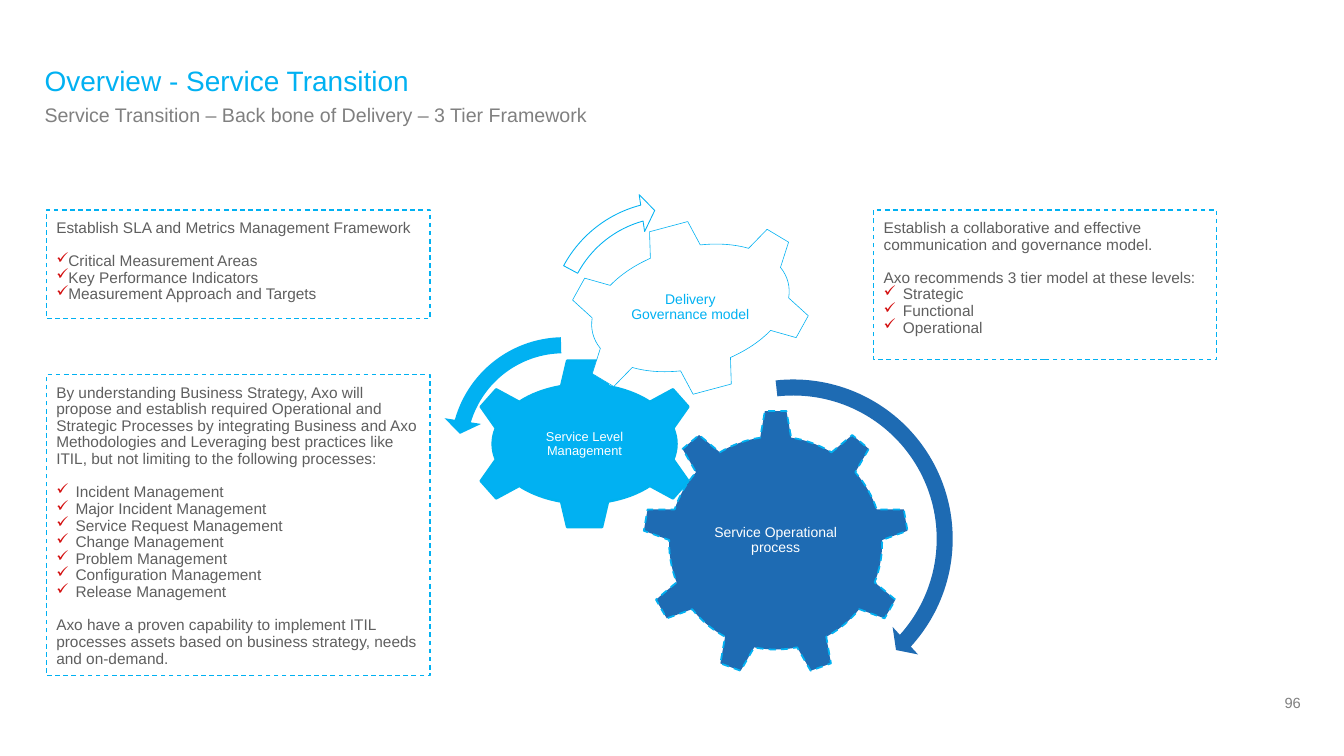
from lxml.etree import SubElement
from pptx import Presentation
from pptx.dml.color import RGBColor
from pptx.enum.dml import MSO_LINE as Dash
from pptx.enum.shapes import MSO_SHAPE as Kind
from pptx.enum.text import MSO_ANCHOR as Anchor, MSO_AUTO_SIZE as Auto, PP_ALIGN as Align
from pptx.oxml.ns import qn
from pptx.util import Pt

SKY, BLUE, WHITE = "01B1F2", "1E6BB3", "FFFFFF"
GREY, DARK, RED = "808080", "5F5F5F", "D30D0D"
GAP = 14.2  # one line of box text


def rgb(code):
    return RGBColor.from_string(code)


def assign(item, values):
    for name, value in values.items():
        setattr(item, name, value)


def place(box):
    return [Pt(v) for v in box]


def setup(frame, inset=0, anchor=Anchor.TOP):
    sides = ("left", "top", "right", "bottom")
    assign(frame, {f"margin_{side}": Pt(inset) for side in sides})
    assign(frame, {"word_wrap": True, "auto_size": Auto.NONE, "vertical_anchor": anchor})


def write(para, text, size, color, align=Align.LEFT, lead=0.9, before=0):
    assign(para, {"alignment": align, "line_spacing": lead, "space_before": Pt(before)})
    run = para.add_run()
    run.text = text
    assign(run.font, {"size": Pt(size), "name": "Arial", "bold": False})
    run.font.color.rgb = rgb(color)


def tick(para, indent):
    props = para._p.get_or_add_pPr()
    props.set("marL", str(Pt(indent)))
    props.set("indent", str(-Pt(indent)))
    SubElement(SubElement(props, qn("a:buClr")), qn("a:srgbClr")).set("val", RED)
    SubElement(props, qn("a:buChar")).set("char", "✓")


def label(slide, box, text, size, color, inset=0, align=Align.CENTER,
          anchor=Anchor.MIDDLE, lead=0.9):
    frame = slide.shapes.add_textbox(*place(box)).text_frame
    setup(frame, inset, anchor)
    write(frame.paragraphs[0], text, size, color, align, lead)


def draw(slide, kind, box, fill, line=None, width=1, dash=None, turn=0):
    shape = slide.shapes.add_shape(kind, *place(box))
    shape.shadow.inherit = False
    shape.rotation = turn
    shape.fill.solid()
    shape.fill.fore_color.rgb = rgb(fill)
    if line:
        shape.line.color.rgb = rgb(line)
        assign(shape.line, {"width": Pt(width), "dash_style": dash})
    else:
        shape.line.fill.background()
    return shape


def header(slide, box):
    x, y, w, h = box
    title = slide.shapes.title
    assign(title, dict(zip(("left", "top", "width", "height"), place((x, y, w, 28)))))
    setup(title.text_frame)
    write(title.text_frame.paragraphs[0], "Overview - Service Transition", 24, SKY, lead=1)
    label(slide, (x, y + 30, w, h - 30),
          "Service Transition – Back bone of Delivery – 3 Tier Framework",
          16.8, GREY, align=Align.LEFT, anchor=Anchor.TOP, lead=1.2)


def gear(slide, box, kind, text, size, color, inset, lift=0, **style):
    x, y, w, h = box
    dx, dy = inset
    draw(slide, kind, box, **style)
    label(slide, (x + dx, y + dy - lift, w - 2 * dx, h - 2 * dy), text, size, color, 1.5)


def arc(slide, box, kind, adjust, **style):
    shape = draw(slide, kind, box, **style)
    for i, value in enumerate(adjust):
        shape.adjustments[i] = value


def wheels(slide, box):
    """Three meshing gears, then the arrows that show how each one turns."""
    x, y = box[:2]
    gear(slide, (x + 173.5, y + 188, 228.2, 228.2), Kind.GEAR_9,
         "Service Operational process", 12, WHITE, (46, 55), 2,
         fill=BLUE, line=SKY, width=1.5, dash=Dash.DASH)
    gear(slide, (x + 23, y + 144, 201.6, 146.2), Kind.GEAR_6,
         "Service Level Management", 11, WHITE, (45, 37),
         fill=SKY, line="00B2EF", width=2)
    gear(slide, (x + 105.8, y + 26.7, 217.4, 147.6), Kind.GEAR_6,
         "Delivery Governance model", 12, SKY, (51.9, 28.4),
         fill=WHITE, line=SKY, width=0.5, turn=345)
    arc(slide, (x + 156.9, y + 152.7, 291.6, 291.6), Kind.CIRCULAR_ARROW,
        (0.047, 2.99, 25.369, 158.173, 0.055), fill=BLUE)
    arc(slide, (x, y + 116.7, 211.7, 211.7), Kind.LEFT_CIRCULAR_ARROW,
        (0.065, 4.3, 104.891, 148.378, 0.075), fill=SKY, turn=21.3)
    arc(slide, (x + 84.2, y, 228.2, 228.2), Kind.CIRCULAR_ARROW,
        (0.06, 3.941, 133.138, 105.082, 0.07),
        fill=WHITE, line=SKY, width=0.75, turn=33.1)


def panel(slide, box, groups, indent=16.5):
    """Each group is (lead lines, ticked items); a line's gap parts the groups."""
    frame = draw(slide, Kind.RECTANGLE, box, WHITE, SKY, 1, Dash.DASH).text_frame
    setup(frame, 8.64)
    para = frame.paragraphs[0]
    first = True
    for lines, items in groups:
        for i, text in enumerate(lines + items):
            if not first:
                para = frame.add_paragraph()
            write(para, text, 13.2, DARK, before=GAP if i == 0 and not first else 0)
            if i >= len(lines):
                tick(para, indent)
            first = False


def main():
    deck = Presentation()
    assign(deck, {"slide_width": Pt(1152), "slide_height": Pt(648)})
    slide = deck.slides.add_slide(deck.slide_layouts[5])
    header(slide, (38.2, 54.5, 890.6, 61))
    wheels(slide, (377.3, 163.4, 448.5, 444.3))
    panel(slide, (39.6, 180, 329, 92.9), [
        (["Establish SLA and Metrics Management Framework"], []),
        ([], ["Critical Measurement Areas", "Key Performance Indicators",
              "Measurement Approach and Targets"]),
    ], 0)
    panel(slide, (748.8, 180, 293.8, 128.2), [
        (["Establish a collaborative and effective",
          "communication and governance model."], []),
        (["Axo recommends 3 tier model at these levels:"],
         ["Strategic", "Functional", "Operational"]),
    ])
    tasks = ("Incident", "Major Incident", "Service Request", "Change",
             "Problem", "Configuration", "Release")
    panel(slide, (39.6, 321.1, 329, 257.8), [
        (["By understanding Business Strategy, Axo will propose and establish required "
          "Operational and Strategic Processes by integrating Business and Axo "
          "Methodologies and Leveraging best practices like ITIL, but not limiting to "
          "the following processes:"], []),
        ([], [f"{task} Management" for task in tasks]),
        (["Axo have a proven capability to implement ITIL processes assets based on "
          "business strategy, needs and on-demand."], []),
    ])
    label(slide, (1096.5, 591.8, 23, 22.3), "96", 12.6, GREY)
    deck.save("out.pptx")


if __name__ == "__main__":
    main()
